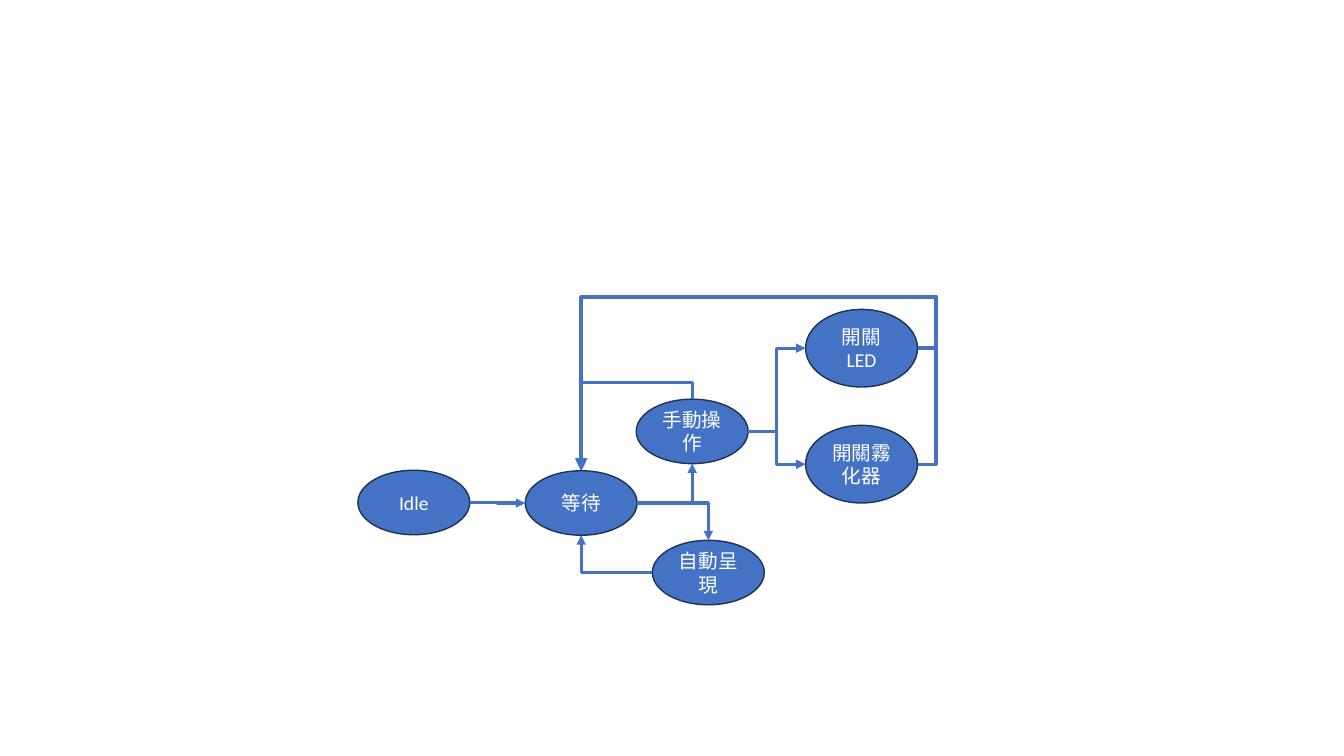
from dataclasses import dataclass

from lxml import etree
from pptx import Presentation
from pptx import util as u
from pptx.dml.color import RGBColor
from pptx.enum import shapes, text
from pptx.oxml.ns import qn


@dataclass(frozen=True)
class Theme:
    fill: RGBColor = RGBColor(0x44, 0x72, 0xC4)
    outline: RGBColor = RGBColor(0x1E, 0x32, 0x56)
    label: RGBColor = RGBColor(0xFF, 0xFF, 0xFF)
    font: str = "Calibri"
    size: u.Pt = u.Pt(14)
    outline_width: u.Pt = u.Pt(1)
    link_width: u.Pt = u.Pt(2.25)
    main_link_width: u.Pt = u.Pt(3)


theme = Theme()
presentation = Presentation()
presentation.slide_width = u.Inches(13.33)
presentation.slide_height = u.Inches(7.5)
slide = presentation.slides.add_slide(presentation.slide_layouts[6])

# Lengths are percentages of the slide's width and height.
X = presentation.slide_width / 100
Y = presentation.slide_height / 100
STATE_WIDTH, LOW, TALL = 8.33, 8.53, 10.27

# Side of an ellipse: connection site, share of its width, share of its height
SIDES = {"top": (0, 0.5, 0), "left": (2, 0, 0.5), "bottom": (4, 0.5, 1), "right": (6, 1, 0.5)}


def add_state(label, *, left, top, height, size=theme.size, color=theme.label):
    shape = slide.shapes.add_shape(
        shapes.MSO_SHAPE.OVAL, *map(round, (left * X, top * Y, STATE_WIDTH * X, height * Y)))
    shape.shadow.inherit = False
    shape.fill.solid()
    shape.fill.fore_color.rgb = theme.fill
    shape.line.color.rgb = theme.outline
    shape.line.width = theme.outline_width
    frame = shape.text_frame
    frame.word_wrap = True
    frame.vertical_anchor = text.MSO_ANCHOR.MIDDLE
    paragraph = frame.paragraphs[0]
    paragraph.alignment = text.PP_ALIGN.CENTER
    run = paragraph.add_run()
    run.text = label
    run.font.name, run.font.size, run.font.color.rgb = theme.font, size, color
    return shape


def add_link(start, start_side, end, end_side, *, bends=3, lane_x=None, lane_y=None,
             upright=False, width=theme.link_width):
    """Join two states; lanes fix the detour, upright means leaving vertically."""
    ends = []
    for shape, side in ((start, start_side), (end, end_side)):
        _, across, down = SIDES[side]
        ends += [round(shape.left + across * shape.width), round(shape.top + down * shape.height)]
    x1, y1, x2, y2 = ends
    connector = slide.shapes.add_connector(shapes.MSO_CONNECTOR.ELBOW, *ends)
    connector._connect_begin_to(start, SIDES[start_side][0])
    connector._connect_end_to(end, SIDES[end_side][0])
    properties = connector._element.spPr

    if upright:
        connector.width, connector.height = abs(y2 - y1), abs(x2 - x1)
        connector.left = (x1 + x2 - connector.width) // 2
        connector.top = (y1 + y2 - connector.height) // 2
        for name, value in (("rot", 270 * 60000), ("flipH", 1), ("flipV", 1)):
            properties.find(qn("a:xfrm")).set(name, str(value))

    geometry = properties.find(qn("a:prstGeom"))
    geometry.set("prst", f"bentConnector{bends}")
    guides = geometry.find(qn("a:avLst"))
    if guides is None:
        guides = etree.SubElement(geometry, qn("a:avLst"))
    shares = []
    if lane_x is not None:
        shares.append((lane_x * X - x1) / (x2 - x1))
    if lane_y is not None:
        shares.append((lane_y * Y - y1) / (y2 - y1))
    for number, share in enumerate(shares, 1):
        name = "adj" if bends == 3 else "adj"
        etree.SubElement(guides, qn("a:gd"), name=f"{name}{number}",
                         fmla=f"val {round(share * 100000)}")

    connector.line.color.rgb = theme.fill
    connector.line.width = width
    etree.SubElement(connector.line._get_or_add_ln(), qn("a:tailEnd"), type="triangle")
    etree.SubElement(properties, qn("a:effectLst"))


idle = add_state("Idle", left=26.63, top=62.2, height=LOW)
waiting = add_state("等待", left=39.08, top=62.27, height=LOW)
automatic = add_state("自動呈現", left=48.54, top=71.47, height=LOW)
manual = add_state("手動操作", left=47.34, top=52.8, height=LOW)
led = add_state("開關LED", left=59.94, top=40.93, height=TALL)
atomizer = add_state("開關霧化器", left=59.94, top=56.27, height=TALL)

add_link(idle, "right", waiting, "left")
add_link(waiting, "right", automatic, "top", bends=2)
add_link(waiting, "right", manual, "bottom", bends=2)
add_link(automatic, "left", waiting, "bottom", bends=2)
for device in (led, atomizer):
    add_link(manual, "right", device, "left")
add_link(led, "right", waiting, "top", bends=4, lane_x=69.65, lane_y=39.3,
         width=theme.main_link_width)
add_link(atomizer, "right", waiting, "top", bends=4, lane_x=69.65, lane_y=39.3)
add_link(manual, "top", waiting, "top", lane_y=50.6, upright=True)

presentation.save("out.pptx")
